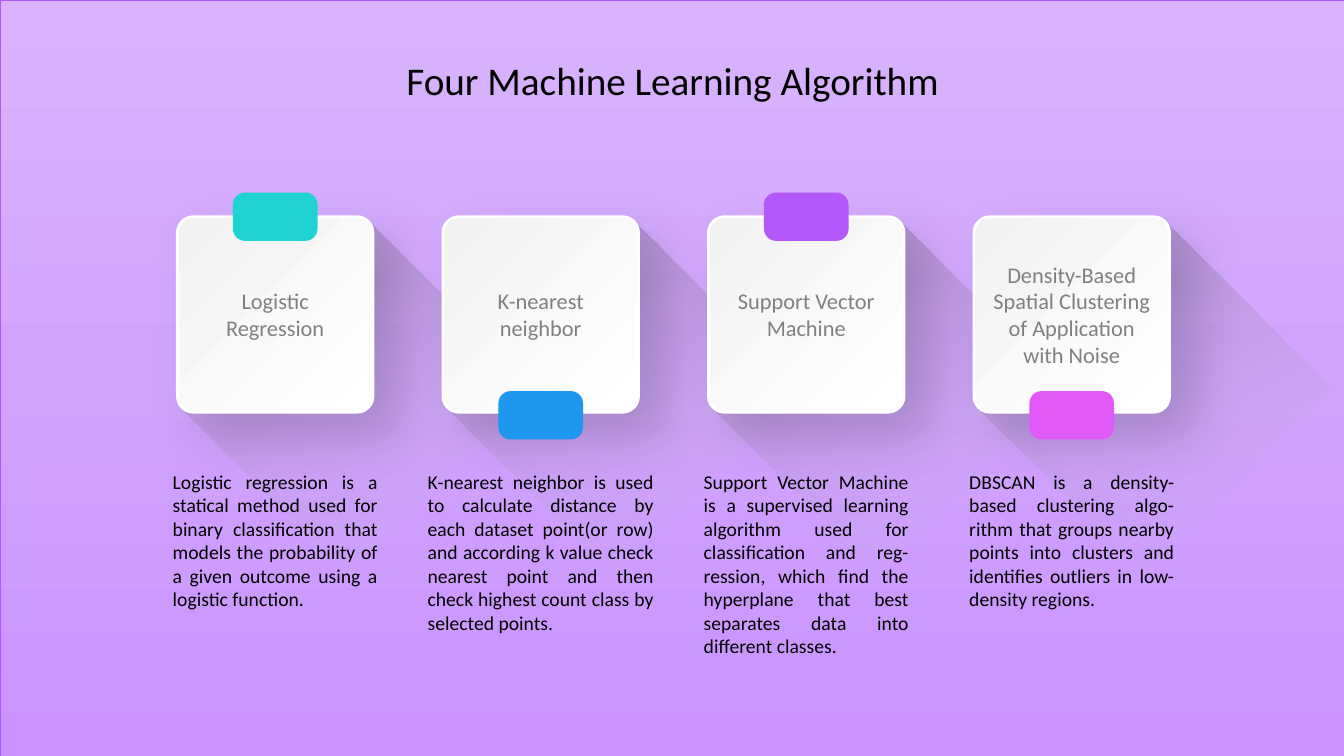
from dataclasses import dataclass

from lxml.etree import SubElement
from pptx import Presentation
from pptx.dml.color import RGBColor
from pptx.enum.shapes import MSO_SHAPE
from pptx.enum.text import MSO_ANCHOR, PP_ALIGN
from pptx.oxml.ns import qn
from pptx.util import Inches, Pt


@dataclass(frozen=True)
class Theme:
    font: str = "Calibri"
    title_size: int = 28
    card_size: int = 16
    body_size: int = 14
    text: str = "000000"
    card_text: str = "808080"
    card_line: str = "FFFFFF"
    frame: str = "B359F9"
    # Gradient stops: position %, colour, opacity %
    background: tuple = ((0, "D9B3FE", 100), (50, "D0A4FD", 100), (100, "CA93FF", 100))
    card: tuple = ((0, "F2F2F2", 100), (100, "FFFFFF", 100))
    long_shadow: tuple = ((0, "000000", 25), (100, "FFFFFF", 0))


@dataclass(frozen=True)
class Algorithm:
    name: str
    description: str
    color: str
    tab_on_top: bool
    text_width: float = 2.23


THEME = Theme()
WIDTH, HEIGHT = 13.33, 7.5
CARD_LEFT, CARD_TOP, CARD_SIZE = 1.76, 2.15, 1.94
CARD_PITCH = 7.9 / 3
TAB_WIDTH, TAB_HEIGHT = 0.84, 0.48
TEXT_TOP = 4.61

ALGORITHMS = (
    Algorithm(
        "Logistic Regression",
        "Logistic regression is a statical method used for binary classification "
        "that models the probability of a given outcome using a logistic function.",
        "1FD3D2", True),
    Algorithm(
        "K-nearest neighbor",
        "K-nearest neighbor is used to calculate distance by each dataset point(or row) "
        "and according k value check nearest point and then check highest count class "
        "by selected points.",
        "1F97EE", False, 2.44),
    Algorithm(
        "Support Vector Machine",
        "Support Vector Machine is a supervised learning algorithm used for "
        "classification and reg- ression, which find the hyperplane that best "
        "separates data into different classes.",
        "B359F9", True),
    Algorithm(
        "Density-Based Spatial Clustering of Application with Noise",
        "DBSCAN is a density-based clustering algo-rithm that groups nearby points "
        "into clusters and identifies outliers in low-density regions.",
        "E058F6", False),
)

# Outline of the long shadow before its 45° turn, notched around the card's corner
SHADOW_WIDTH, SHADOW_HEIGHT = 2.34, 2.63
SHADOW_OUTLINE = (
    (0, 0), (SHADOW_WIDTH, 0), (SHADOW_WIDTH, SHADOW_HEIGHT), (0, SHADOW_HEIGHT),
    (0.12, 2.57), (1.27, 1.42), (1.27, 1.2), (0.12, 0.05),
)


def add_color(parent, color, opacity):
    element = SubElement(parent, qn("a:srgbClr"), val=color)
    if opacity < 100:
        SubElement(element, qn("a:alpha"), val=str(opacity * 1000))


def set_gradient(shape, stops, angle):
    """Fill the shape with a linear gradient whose angle runs clockwise."""
    shape.fill.background()
    properties = shape._element.spPr
    no_fill = properties.find(qn("a:noFill"))
    gradient = SubElement(properties, qn("a:gradFill"), rotWithShape="1")
    properties.replace(no_fill, gradient)
    stop_list = SubElement(gradient, qn("a:gsLst"))
    for position, color, opacity in stops:
        stop = SubElement(stop_list, qn("a:gs"), pos=str(position * 1000))
        add_color(stop, color, opacity)
    SubElement(gradient, qn("a:lin"), ang=str(angle * 60000), scaled="0")


def add_soft_shadow(shape):
    effects = shape._element.spPr.find(qn("a:effectLst"))
    shadow = SubElement(effects, qn("a:outerShdw"), blurRad=str(Pt(36)), dist=str(Pt(24)),
                        dir=str(45 * 60000), algn="tl", rotWithShape="0")
    add_color(shadow, "000000", 15)


def add_plain_shape(slide, kind, left, top, width, height, corner=None):
    """Add a preset shape without line or shadow."""
    shape = slide.shapes.add_shape(
        kind, Inches(left), Inches(top), Inches(width), Inches(height))
    shape.shadow.inherit = False
    shape.line.fill.background()
    if corner is not None:
        shape.adjustments[0] = corner
    return shape


def set_line(shape, color, width):
    shape.line.color.rgb = RGBColor.from_string(color)
    shape.line.width = Pt(width)


def set_text(shape, text, size, color, alignment, anchor):
    frame = shape.text_frame
    frame.word_wrap = True
    frame.vertical_anchor = anchor
    paragraph = frame.paragraphs[0]
    paragraph.text = text
    paragraph.alignment = alignment
    paragraph.font.name = THEME.font
    paragraph.font.size = Pt(size)
    paragraph.font.color.rgb = RGBColor.from_string(color)
    return paragraph


def add_background(slide, width, height):
    background = add_plain_shape(slide, MSO_SHAPE.RECTANGLE, 0, 0, width, height)
    set_gradient(background, THEME.background, 90)
    set_line(background, THEME.frame, 0.5)


def add_title(slide, left, top, width, height):
    title = slide.shapes.add_textbox(
        Inches(left), Inches(top), Inches(width), Inches(height))
    paragraph = set_text(title, "Four Machine Learning Algorithm", THEME.title_size,
                         THEME.text, PP_ALIGN.CENTER, MSO_ANCHOR.MIDDLE)
    paragraph.line_spacing = 0.9


def add_long_shadow(slide, left, top):
    points = [(Inches(x), Inches(y)) for x, y in SHADOW_OUTLINE]
    builder = slide.shapes.build_freeform(*points[0])
    builder.add_line_segments(points[1:])
    shadow = builder.convert_to_shape(Inches(left), Inches(top))
    shadow.rotation = 45
    shadow.shadow.inherit = False
    shadow.line.fill.background()
    set_gradient(shadow, THEME.long_shadow, 20)


def add_card(slide, algorithm, left, top, size):
    add_long_shadow(slide, left + 0.62, top + 0.48)
    card = add_plain_shape(slide, MSO_SHAPE.ROUNDED_RECTANGLE, left, top, size, size, 0.082)
    set_gradient(card, THEME.card, 45)
    set_line(card, THEME.card_line, 2)
    add_soft_shadow(card)
    set_text(card, algorithm.name, THEME.card_size, THEME.card_text,
             PP_ALIGN.CENTER, MSO_ANCHOR.MIDDLE)

    tab_top = top - TAB_HEIGHT / 2 if algorithm.tab_on_top else top + size - TAB_HEIGHT / 2 + 0.03
    tab = add_plain_shape(slide, MSO_SHAPE.ROUNDED_RECTANGLE,
                          left + (size - TAB_WIDTH) / 2, tab_top, TAB_WIDTH, TAB_HEIGHT, 0.252)
    tab.fill.solid()
    tab.fill.fore_color.rgb = RGBColor.from_string(algorithm.color)


def add_description(slide, algorithm, center, top):
    width = algorithm.text_width
    box = slide.shapes.add_textbox(
        Inches(center - width / 2), Inches(top), Inches(width), Inches(1.51))
    set_text(box, algorithm.description, THEME.body_size, THEME.text,
             PP_ALIGN.JUSTIFY, MSO_ANCHOR.TOP)


def main():
    presentation = Presentation()
    presentation.slide_width = Inches(WIDTH)
    presentation.slide_height = Inches(HEIGHT)
    slide = presentation.slides.add_slide(presentation.slide_layouts[6])
    add_background(slide, WIDTH, HEIGHT)
    add_title(slide, 0.92, 0.4, 11.5, 0.84)
    for index, algorithm in enumerate(ALGORITHMS):
        left = CARD_LEFT + index * CARD_PITCH
        add_card(slide, algorithm, left, CARD_TOP, CARD_SIZE)
        add_description(slide, algorithm, left + CARD_SIZE / 2, TEXT_TOP)
    presentation.save("out.pptx")


if __name__ == "__main__":
    main()
